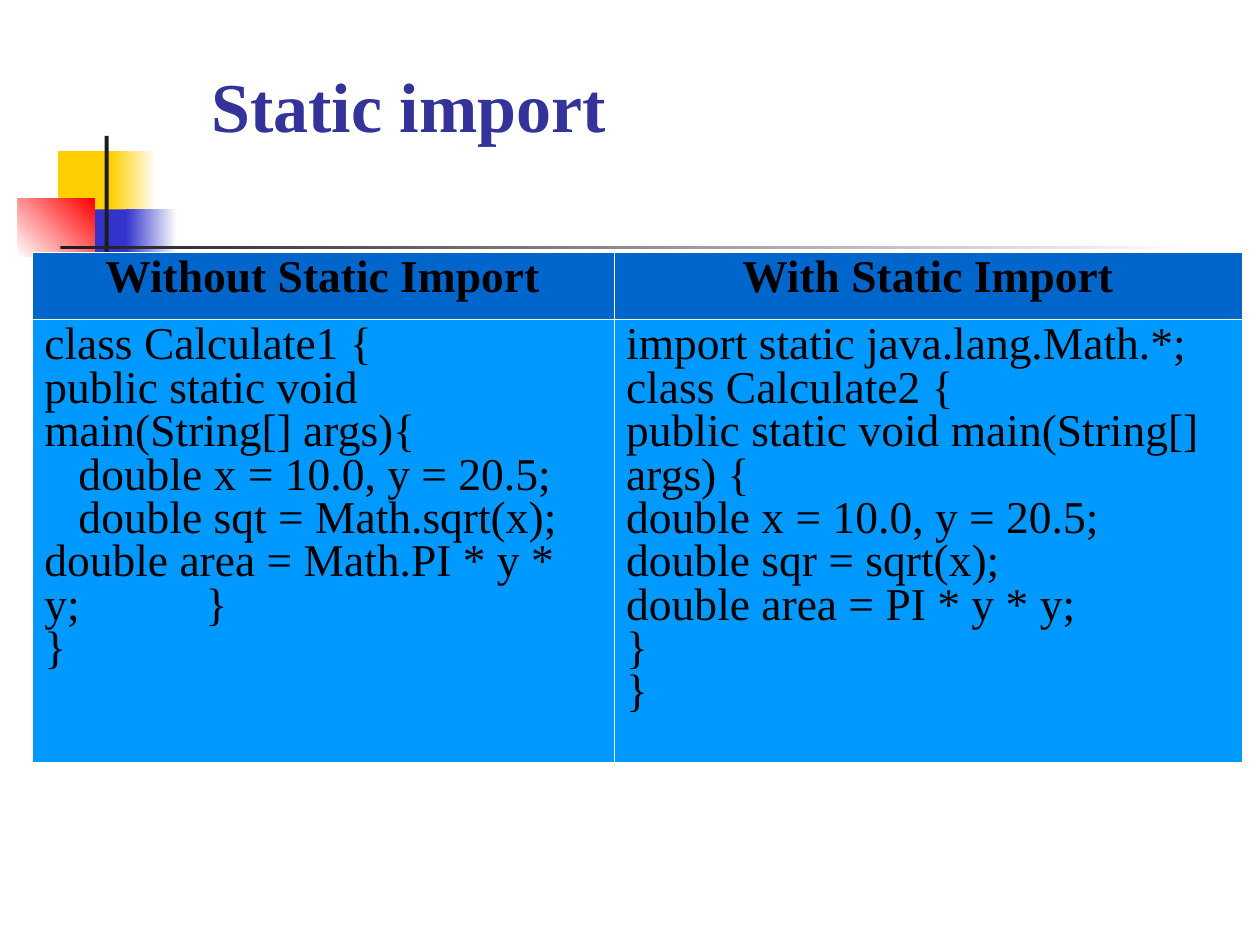
from lxml.etree import SubElement
from pptx import Presentation
from pptx.dml.color import RGBColor
from pptx.enum.shapes import MSO_SHAPE
from pptx.enum.text import MSO_ANCHOR, PP_ALIGN
from pptx.oxml import parse_xml
from pptx.oxml.ns import nsdecls, qn
from pptx.util import Cm, Pt


def color(value):
    return RGBColor.from_string(value)


def format_font(font, **values):
    for name, value in values.items():
        setattr(font, name, value)


presentation = Presentation()
presentation.slide_width, presentation.slide_height = Cm(25.4), Cm(19.05)
slide = presentation.slides.add_slide(presentation.slide_layouts[5])

# Title
title = slide.shapes.title
title_place = {"left": 4.01, "top": 0.28, "width": 19.79, "height": 3.66}
for name, value in title_place.items():
    setattr(title, name, Cm(value))
title.text_frame.text = "Static import"
title.text_frame.vertical_anchor = MSO_ANCHOR.MIDDLE
paragraph = title.text_frame.paragraphs[0]
paragraph.alignment = PP_ALIGN.LEFT
format_font(paragraph.font, name="Times New Roman", size=Pt(40), bold=True)
paragraph.font.color.rgb = color("333399")

# Corner decoration: left, top, width, height, colours, gradient angle
decoration = [
    (1.17, 3.05, 1.22, 1.32, ["FFCF01"], 0),
    (2.24, 3.05, 0.91, 1.32, ["FFCF01", "FFFFFF"], 0),
    (1.5, 4.22, 1.17, 1.32, ["3333CC"], 0),
    (2.54, 4.22, 1.02, 1.32, ["3333CC", "FFFFFF"], 0),
    (0.36, 4.01, 1.55, 1.17, ["FFFFFF", "FF0000"], 45),
    (2.11, 2.74, 0.08, 2.92, ["1C1C1C"], 0),
    (1.22, 4.95, 22.86, 0.08, ["1C1C1C", "FFFFFF"], 0),
]
for *place, colors, angle in decoration:
    shape = slide.shapes.add_shape(MSO_SHAPE.RECTANGLE, *map(Cm, place))
    shape.shadow.inherit = False
    shape.line.fill.background()
    if len(colors) == 1:
        shape.fill.solid()
        shape.fill.fore_color.rgb = color(colors[0])
    else:
        shape.fill.gradient()
        shape.fill.gradient_angle = angle
        for position, (stop, value) in enumerate(zip(shape.fill.gradient_stops, colors)):
            stop.position = position
            stop.color.rgb = color(value)

# Comparison table
columns = [
    ("Without Static Import", [
        "class Calculate1 {",
        "public static void main(String[] args){",
        "   double x = 10.0, y = 20.5;",
        "   double sqt = Math.sqrt(x);",
        "double area = Math.PI * y * y;\t}",
        "}",
    ]),
    ("With Static Import", [
        "import static java.lang.Math.*;",
        "class Calculate2 {",
        "public static void main(String[] args) {",
        "double x = 10.0, y = 20.5;",
        "double sqr = sqrt(x);",
        "double area = PI * y * y;",
        "}",
        "}",
    ]),
]
column_widths = [11.73, 12.67]
row_heights = [1.35, 8.94]
table = slide.shapes.add_table(2, 2, Cm(0.64), Cm(5.08), Cm(sum(column_widths)),
                               Cm(sum(row_heights))).table
table.horz_banding = False
for column, width in zip(table.columns, column_widths):
    column.width = Cm(width)
for row, height in zip(table.rows, row_heights):
    row.height = Cm(height)

for column_index, (heading, code) in enumerate(columns):
    for row_index, lines in enumerate([[heading], code]):
        is_heading = row_index == 0
        cell = table.cell(row_index, column_index)
        cell.fill.solid()
        cell.fill.fore_color.rgb = color("0066CC" if is_heading else "0099FF")
        cell.text = "\n".join(lines)
        for paragraph in cell.text_frame.paragraphs:
            # The tab stop places the brace after the wrapped statement
            if "\t" in paragraph.text:
                tabs = SubElement(paragraph._p.get_or_add_pPr(), qn("a:tabLst"))
                SubElement(tabs, qn("a:tab"), pos=str(Cm(3.25)), algn="l")
            paragraph.alignment = PP_ALIGN.CENTER if is_heading else PP_ALIGN.LEFT
            paragraph.line_spacing = 0.86
            format_font(paragraph.font, name="Times New Roman", size=Pt(26), bold=is_heading)
            paragraph.font.color.rgb = color("000000")
        # Thin white borders
        for index, side in enumerate(["lnL", "lnR", "lnT", "lnB"]):
            border = parse_xml(
                f'<a:{side} {nsdecls("a")} w="{Pt(0.06)}"><a:solidFill>'
                f'<a:srgbClr val="FFFFFF"/></a:solidFill></a:{side}>')
            cell._tc.get_or_add_tcPr().insert(index, border)

presentation.save("out.pptx")
